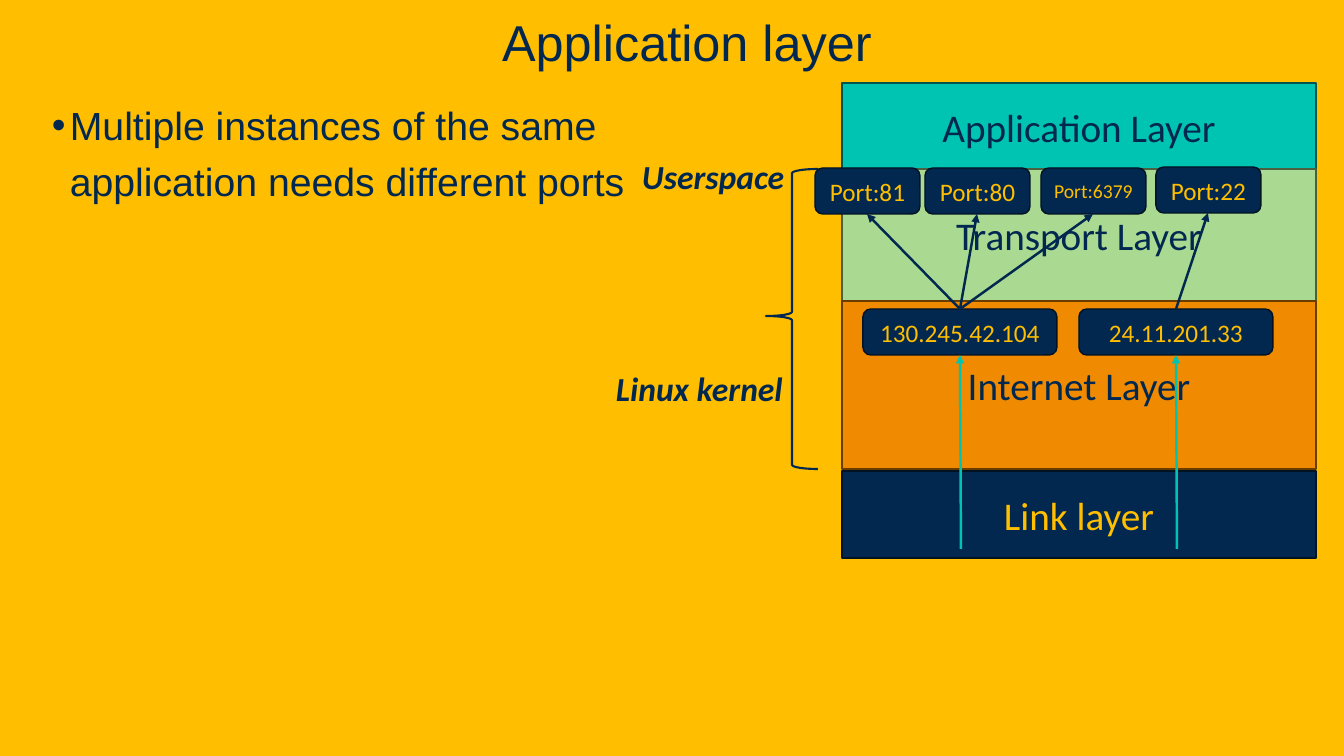
from dataclasses import dataclass

from lxml import etree
from pptx import Presentation
from pptx import util as u
from pptx.dml.color import RGBColor
from pptx.enum import shapes, text
from pptx.oxml.ns import qn

EMU_PER_PX = 914400 / 100.8


@dataclass(frozen=True)
class Theme:
    navy: str = "022850"
    navy_edge: str = "011223"
    gold: str = "FFBE00"
    teal: str = "00C4B2"
    teal_edge: str = "00564E"
    green: str = "AADA91"
    green_edge: str = "4B6040"
    orange: str = "F08A00"
    orange_edge: str = "693C00"
    heading_font: str = "Arial"
    diagram_font: str = "Calibri"
    title: int = 36
    body: int = 28
    side: int = 24
    node: int = 18
    small: int = 14


def px(length):
    return u.Emu(round(length * EMU_PER_PX))


def rgb(value):
    return RGBColor.from_string(value)


class Diagram:
    def __init__(self, page, theme):
        self.page = page
        self.theme = theme
        fill = page.background.fill
        fill.solid()
        fill.fore_color.rgb = rgb(theme.gold)

    def add_words(self, box, words, size, color, font, bold=None):
        para = box.text_frame.paragraphs[0]
        span = para.add_run()
        span.text = words
        span.font.size = u.Pt(size)
        span.font.name = font
        span.font.color.rgb = rgb(color)
        span.font.bold = span.font.italic = bold
        return para

    def text_box(self, area, words, size, font, bold=None, wrap=True):
        box = self.page.shapes.add_textbox(*map(px, area))
        box.text_frame.word_wrap = wrap
        return box, self.add_words(box, words, size, self.theme.navy, font, bold)

    def title(self, area, words):
        box, para = self.text_box(area, words, self.theme.title, self.theme.heading_font)
        box.text_frame.vertical_anchor = text.MSO_ANCHOR.BOTTOM
        para.alignment = text.PP_ALIGN.CENTER
        para._p.get_or_add_pPr().set("marL", str(px(30)))

    def bullet(self, area, words):
        _, para = self.text_box(area, words, self.theme.body, self.theme.heading_font)
        props = para._p.get_or_add_pPr()
        props.set("marL", str(px(18)))
        props.set("indent", str(-px(18)))
        etree.SubElement(props, qn("a:buFont"), typeface=self.theme.heading_font)
        etree.SubElement(props, qn("a:buChar"), char="•")
        para.line_spacing = 1.2
        para.space_after = u.Pt(6)

    def side_label(self, area, words):
        box, _ = self.text_box(area, words, self.theme.side, self.theme.diagram_font,
                               bold=True, wrap=False)
        box.text_frame.auto_size = text.MSO_AUTO_SIZE.SHAPE_TO_FIT_TEXT

    def block(self, kind, area, words, size, fill, edge, color):
        box = self.page.shapes.add_shape(kind, *map(px, area))
        box.shadow.inherit = False
        box.fill.solid()
        box.fill.fore_color.rgb = rgb(fill)
        box.line.color.rgb = rgb(edge)
        box.line.width = u.Pt(1)
        box.text_frame.word_wrap = True
        box.text_frame.vertical_anchor = text.MSO_ANCHOR.MIDDLE
        para = self.add_words(box, words, size, color, self.theme.diagram_font)
        para.alignment = text.PP_ALIGN.CENTER

    def layer(self, area, words, fill, edge, color):
        self.block(shapes.MSO_SHAPE.RECTANGLE, area, words, self.theme.body,
                   fill, edge, color)

    def node(self, area, words, size):
        self.block(shapes.MSO_SHAPE.ROUNDED_RECTANGLE, area, words, size,
                   self.theme.navy, self.theme.navy_edge, self.theme.gold)

    def brace(self, area):
        brace = self.page.shapes.add_shape(shapes.MSO_SHAPE.RIGHT_BRACE, *map(px, area))
        brace.shadow.inherit = False
        brace.rotation = 180
        brace.adjustments[0] = 0.08
        brace.adjustments[1] = 0.51
        brace.fill.background()
        brace.line.color.rgb = rgb(self.theme.navy)
        brace.line.width = u.Pt(1.5)

    def arrow(self, start, end, color):
        arrow = self.page.shapes.add_connector(
            shapes.MSO_CONNECTOR.STRAIGHT, *map(px, (*start, *end)))
        arrow.line.color.rgb = rgb(color)
        arrow.line.width = u.Pt(1.75)
        etree.SubElement(arrow.line._get_or_add_ln(), qn("a:tailEnd"), type="triangle")
        etree.SubElement(arrow._element.spPr, qn("a:effectLst"))


def main():
    theme = Theme()
    deck = Presentation()
    deck.slide_width, deck.slide_height = px(1344), px(756)
    diagram = Diagram(deck.slides.add_slide(deck.slide_layouts[6]), theme)

    # Heading and bullet
    diagram.title((0, 0, 1344, 77), "Application layer")
    diagram.bullet((42, 87, 621, 556),
                   "Multiple instances of the same application needs different ports")

    # Network stack
    for top, height, words, fill, edge, color in (
        (83, 87, "Application Layer", theme.teal, theme.teal_edge, theme.navy),
        (169, 132, "Transport Layer", theme.green, theme.green_edge, theme.navy),
        (301, 168, "Internet Layer", theme.orange, theme.orange_edge, theme.navy),
        (471, 87, "Link layer", theme.navy, theme.navy_edge, theme.gold),
    ):
        diagram.layer((842, top, 474, height), words, fill, edge, color)

    # Userspace and kernel boundary
    diagram.side_label((606, 363, 191, 50), "Linux kernel")
    diagram.brace((766, 169, 52, 300))
    diagram.side_label((632, 151, 164, 50), "Userspace")

    # Addresses, each fed from the link layer
    address_top, node_height = 309, 46
    addresses = ((960, "130.245.42.104"), (1176, "24.11.201.33"))
    for center, words in addresses:
        diagram.node((center - 97, address_top, 194, node_height), words, theme.node)
    for center, _ in addresses:
        diagram.arrow((center + 1, 549), (center, address_top + node_height), theme.teal)

    # Ports, each reached from its address
    for center, top, words, size, source in (
        (977, 168, "Port:80", theme.node, 960),
        (1093, 168, "Port:6379", theme.small, 960),
        (1208, 167, "Port:22", theme.node, 1176),
        (867, 168, "Port:81", theme.node, 960),
    ):
        diagram.node((center - 52, top, 105, node_height), words, size)
        diagram.arrow((source, address_top), (center, top + node_height), theme.navy)

    deck.save("out.pptx")


if __name__ == "__main__":
    main()
